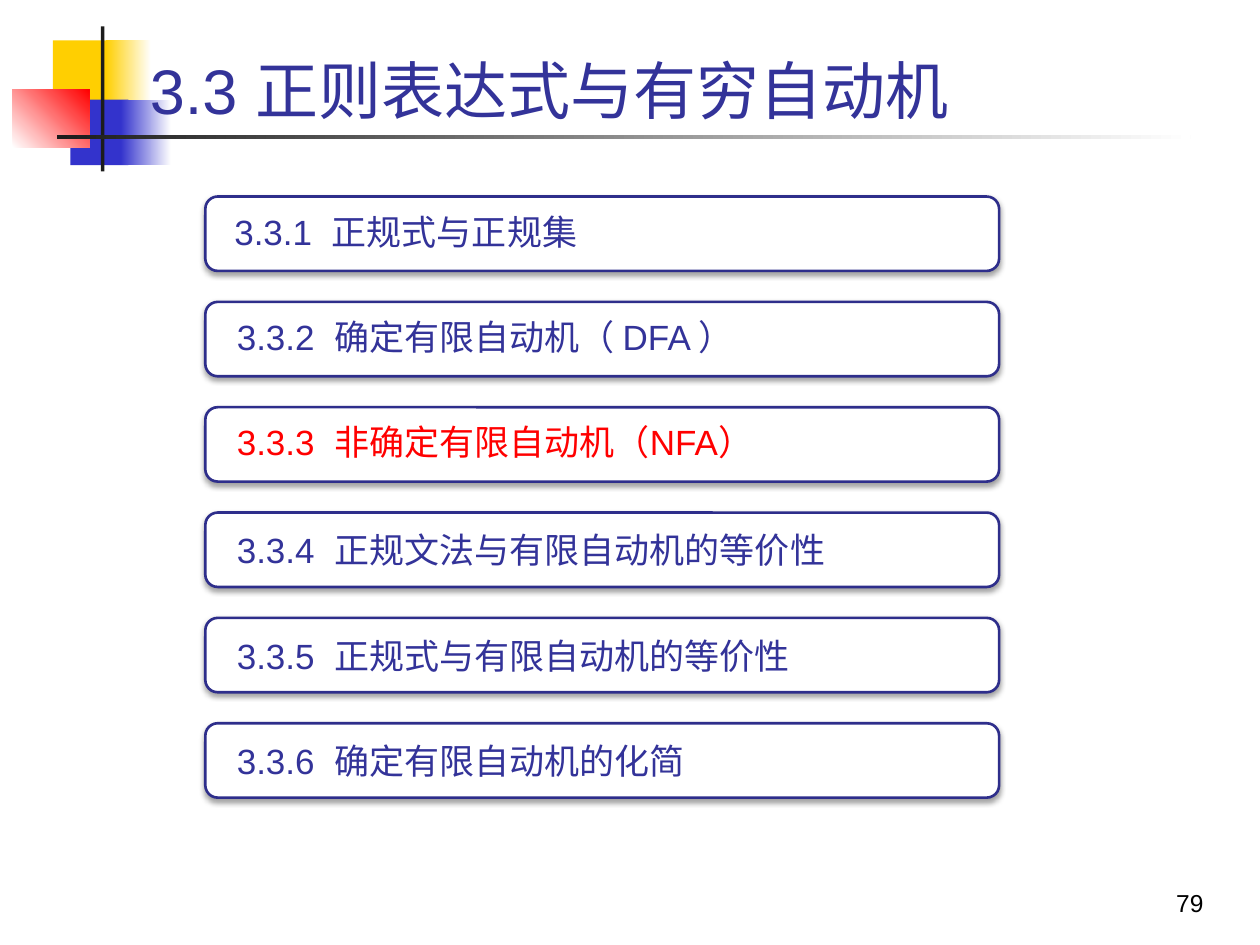
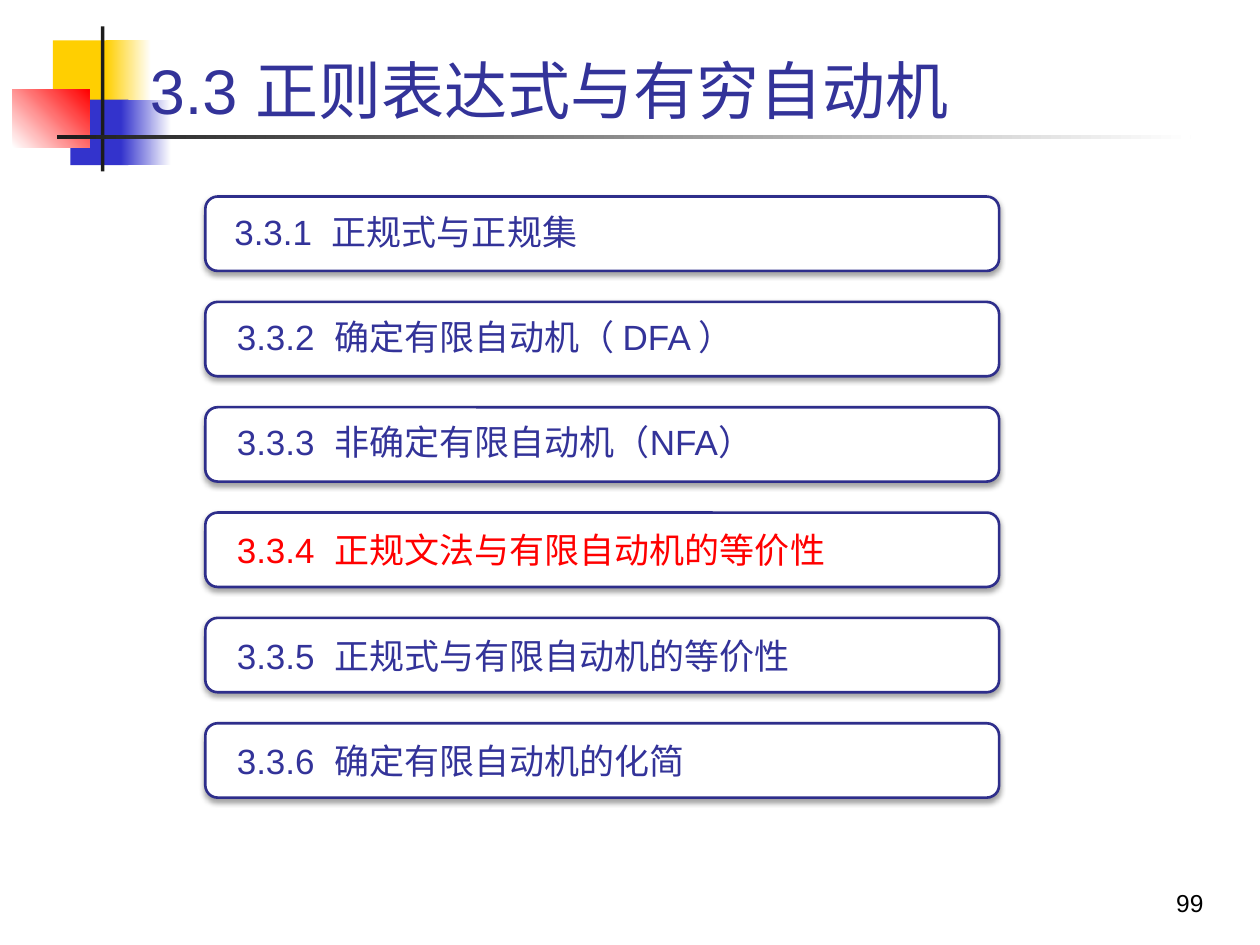
from lxml.etree import SubElement
from pptx import Presentation
from pptx.dml.color import RGBColor
from pptx.enum.shapes import MSO_SHAPE as Shape
from pptx.enum.text import MSO_ANCHOR as Anchor, PP_ALIGN as Align
from pptx.oxml.ns import qn
from pptx.util import Inches, Pt

# Shared style
FONT = "Arial"
INK, BORDER, HIGHLIGHT = "333399", "2E2E8B", "FF0000"
WHITE, BLACK, CHARCOAL = "FFFFFF", "000000", "1C1C1C"
YELLOW, BLUE, RED = "FFCF01", "3333CC", "FF0000"

# Shared content
TITLE = "3.3 正则表达式与有穷自动机"
SECTIONS = [
    "3.3.1  正规式与正规集",
    "3.3.2  确定有限自动机（ DFA ）",
    "3.3.3  非确定有限自动机（NFA）",
    "3.3.4  正规文法与有限自动机的等价性",
    "3.3.5  正规式与有限自动机的等价性",
    "3.3.6  确定有限自动机的化简",
]
TIGHT_SECTIONS = 3  # the first sections have tighter line spacing

# Section cards: equal steps from the first top to the last
CARD_LEFT, CARD_WIDTH, CARD_HEIGHT = 1.63, 6.3, 0.59
FIRST_TOP, LAST_TOP = 1.56, 5.74
CARD_STEP = (LAST_TOP - FIRST_TOP) / (len(SECTIONS) - 1)
LABEL_INSET = 0.03

# Corner decoration: left, top, width, height, colours, gradient angle
DECORATION = [
    (0.42, 0.32, 0.48, 0.52, [YELLOW], 0),
    (0.84, 0.32, 0.36, 0.52, [YELLOW, WHITE], 0),
    (0.56, 0.79, 0.46, 0.52, [BLUE], 0),
    (0.96, 0.79, 0.4, 0.52, [BLUE, WHITE], 0),
    (0.1, 0.71, 0.61, 0.46, [WHITE, RED], 45),
    (0.8, 0.21, 0.03, 1.15, [CHARCOAL], 0),
    (0.45, 1.07, 9, 0.03, [CHARCOAL, WHITE], 0),
]


def color(hex_code):
    return RGBColor.from_string(hex_code)


def box(left, top, width, height):
    return [Inches(value) for value in (left, top, width, height)]


def write(shape, text, size=20, ink=INK, align=Align.LEFT, anchor=Anchor.MIDDLE,
          margins=(0.1, 0.05), line_spacing=None):
    """Fill a shape with one formatted paragraph."""
    frame = shape.text_frame
    frame.word_wrap = True
    frame.vertical_anchor = anchor
    frame.margin_left = frame.margin_right = Inches(margins[0])
    frame.margin_top = frame.margin_bottom = Inches(margins[1])
    paragraph = frame.paragraphs[0]
    paragraph.alignment = align
    paragraph.line_spacing = line_spacing
    run = paragraph.add_run()
    run.text = text
    run.font.name = FONT
    run.font.size = Pt(size)
    run.font.color.rgb = color(ink)


def add_block(shapes, bounds, colors, angle=0, kind=Shape.RECTANGLE):
    """Add a borderless shape with a solid or two-colour gradient fill."""
    shape = shapes.add_shape(kind, *box(*bounds))
    shape.shadow.inherit = False
    shape.line.fill.background()
    if len(colors) == 1:
        shape.fill.solid()
        shape.fill.fore_color.rgb = color(colors[0])
    else:
        shape.fill.gradient()
        shape.fill.gradient_angle = angle
        for stop, hex_code in zip(shape.fill.gradient_stops, colors):
            stop.color.rgb = color(hex_code)
    return shape


def add_shadow(shape):
    effects = shape.element.spPr.find(qn("a:effectLst"))
    shadow = SubElement(effects, qn("a:outerShdw"), blurRad=str(Pt(3.1)),
                        dist=str(Pt(1.6)), dir="5400000", rotWithShape="0")
    shade = SubElement(shadow, qn("a:srgbClr"), val=BLACK)
    SubElement(shade, qn("a:alpha"), val="38000")


def add_card(slide, index, text, ink):
    """Add a section card: a shadowed frame grouped with its label."""
    top = FIRST_TOP + index * CARD_STEP
    group = slide.shapes.add_group_shape()
    frame = add_block(group.shapes, (CARD_LEFT, top, CARD_WIDTH, CARD_HEIGHT),
                      [WHITE], kind=Shape.ROUNDED_RECTANGLE)
    frame.line.color.rgb = color(BORDER)
    frame.line.width = Pt(1.5)
    add_shadow(frame)

    side = LABEL_INSET if index == 0 else 0.05
    label = group.shapes.add_textbox(*box(
        CARD_LEFT + side, top + LABEL_INSET,
        CARD_WIDTH - 2 * side, CARD_HEIGHT - 2 * LABEL_INSET))
    write(label, text, ink=ink, margins=(0.2, 0),
          line_spacing=0.9 if index < TIGHT_SECTIONS else None)


def decorate_layout(layout, slide):
    """Put the corner decoration on the layout, which every slide shares."""
    for placeholder in list(layout.placeholders)[1:]:
        layout.shapes.element.remove(placeholder.element)
    for *bounds, colors, angle in DECORATION:
        block = add_block(slide.shapes, bounds, colors, angle)
        layout.shapes.element.append(block.element)


def add_title(slide):
    title = slide.shapes.title
    title.left, title.top, title.width, title.height = box(1.09, 0.22, 8.52, 0.84)
    write(title, TITLE, size=36, anchor=Anchor.BOTTOM)


def add_page_number(slide, number):
    label = slide.shapes.add_textbox(*box(7.57, 6.83, 2.08, 0.5))
    write(label, str(number), size=14, ink=BLACK, align=Align.RIGHT,
          anchor=Anchor.BOTTOM)


def add_outline_slide(presentation, layout, page, current):
    """Add the chapter outline with the current section highlighted."""
    slide = presentation.slides.add_slide(layout)
    add_title(slide)
    add_page_number(slide, page)
    for index, text in enumerate(SECTIONS):
        add_card(slide, index, text, HIGHLIGHT if index == current else INK)
    return slide


def main():
    presentation = Presentation()
    presentation.slide_width, presentation.slide_height = Inches(10), Inches(7.5)
    layout = presentation.slide_layouts[5]  # title only
    first = add_outline_slide(presentation, layout, page=79, current=2)
    add_outline_slide(presentation, layout, page=99, current=3)
    decorate_layout(layout, first)
    presentation.save("out.pptx")


if __name__ == "__main__":
    main()
